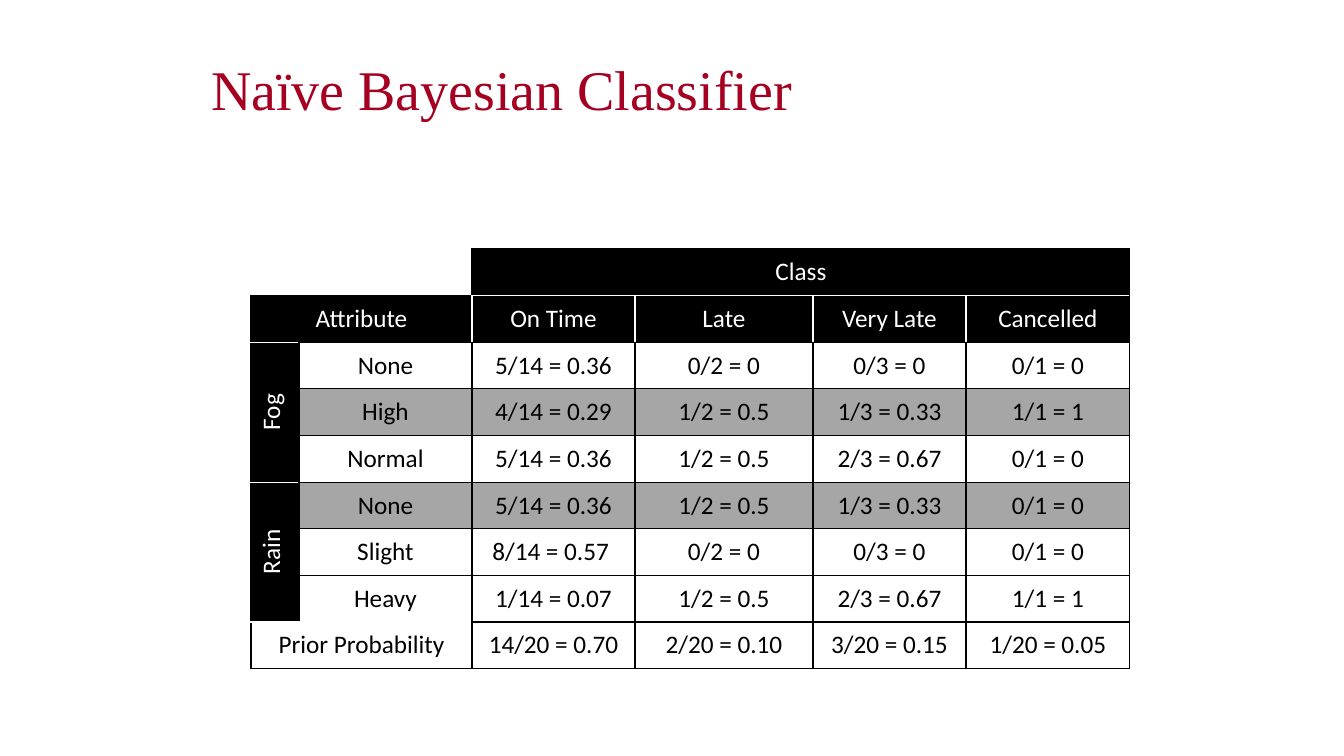
"""Build the Naïve Bayesian Classifier slide with its probability table."""
from pptx import Presentation
from pptx import util as u
from pptx.dml.color import RGBColor
from pptx.enum import text
from pptx.oxml import parse_xml
from pptx.oxml.ns import nsdecls

TITLE = "Naïve Bayesian Classifier"
ROWS = [
    ["", "", "Class", "", "", ""],
    ["Attribute", "", "On Time", "Late", "Very Late", "Cancelled"],
    ["Fog", "None", "5/14 = 0.36", "0/2 = 0", "0/3 = 0", "0/1 = 0"],
    ["", "High", "4/14 = 0.29", "1/2 = 0.5", "1/3 = 0.33", "1/1 = 1"],
    ["", "Normal", "5/14 = 0.36", "1/2 = 0.5", "2/3 = 0.67", "0/1 = 0"],
    ["Rain", "None", "5/14 = 0.36", "1/2 = 0.5", "1/3 = 0.33", "0/1 = 0"],
    ["", "Slight", "8/14 = 0.57 ", "0/2 = 0", "0/3 = 0", "0/1 = 0"],
    ["", "Heavy", "1/14 = 0.07", "1/2 = 0.5", "2/3 = 0.67", "1/1 = 1"],
    ["Prior Probability", "", "14/20 = 0.70", "2/20 = 0.10",
     "3/20 = 0.15", "1/20 = 0.05"],
]
SPANS = {(0, 0): (1, 2), (0, 2): (1, 4), (1, 0): (1, 2),
         (2, 0): (3, 1), (5, 0): (3, 1), (8, 0): (1, 2)}
CORNER, PRIOR = (0, 0), (8, 0)
SIDES = {"lnL": (0, -1), "lnR": (0, 1), "lnT": (-1, 0), "lnB": (1, 0)}
GREY_ROWS = (3, 5)
COLS = [48, 173, 163, 178, 153, 164]
LEFT, TOP, TALL = 251, 249, 420
COLOR = {"title": "A50021", "dark": "000000", "light": "FFFFFF", "band": "A6A6A6"}
PX = 914400 / 100.8


def px(n):
    return u.Emu(round(n * PX))


def write(par, words, font, size, color):
    run = par.add_run()
    run.text = words
    run.font.name = font
    run.font.size = u.Pt(size)
    run.font.color.rgb = RGBColor.from_string(COLOR[color])


def owner(r, c):
    for (top, left), (high, wide) in SPANS.items():
        if top <= r < top + high and left <= c < left + wide:
            return top, left
    return r, c


def shade(r, c):
    home = owner(r, c)
    if home == CORNER:
        return None
    if r < 2 or (c == 0 and home != PRIOR):
        return "dark"
    return "band" if r in GREY_ROWS else "light"


def edge(r, c, down, right):
    near = r + down, c + right
    inside = 0 <= near[0] < len(ROWS) and 0 <= near[1] < len(COLS)
    home = owner(r, c)
    if not inside:
        return None if home == CORNER else "dark"
    other = owner(*near)
    if home == other:
        return None
    if shade(r, c) == shade(*near) == "dark" or (down and PRIOR in (home, other)):
        return "light"
    return "dark"


def border(props, side, color):
    fill = f'<a:solidFill><a:srgbClr val="{COLOR[color]}"/></a:solidFill>' if color else "<a:noFill/>"
    props.append(parse_xml(f'<a:{side} {nsdecls("a")} w="12700">{fill}</a:{side}>'))


def add_title(slide):
    box = slide.shapes.title
    box.left, box.top, box.width, box.height = map(px, (201, 29, 928, 126))
    frame = box.text_frame
    frame.vertical_anchor = text.MSO_ANCHOR.MIDDLE
    par = frame.paragraphs[0]
    par.alignment = text.PP_ALIGN.LEFT
    par.line_spacing = 0.9
    write(par, TITLE, "Times New Roman", 40, "title")


def add_grid(slide):
    grid = slide.shapes.add_table(len(ROWS), len(COLS), px(LEFT), px(TOP),
                                  px(sum(COLS)), px(TALL)).table
    grid.first_row = grid.horz_banding = False
    for col, wide in zip(grid.columns, COLS):
        col.width = px(wide)
    for row in grid.rows:
        row.height = px(TALL / len(ROWS))
    for (r, c), (high, wide) in SPANS.items():
        grid.cell(r, c).merge(grid.cell(r + high - 1, c + wide - 1))
    for r, row in enumerate(ROWS):
        for c, words in enumerate(row):
            fill_cell(grid.cell(r, c), r, c, words)


def fill_cell(cell, r, c, words):
    tone = shade(r, c)
    cell.vertical_anchor = text.MSO_ANCHOR.MIDDLE
    props = cell._tc.get_or_add_tcPr()
    for side, step in SIDES.items():
        border(props, side, edge(r, c, *step))
    if tone:
        cell.fill.solid()
        cell.fill.fore_color.rgb = RGBColor.from_string(COLOR[tone])
    else:
        cell.fill.background()
    if SPANS.get((r, c)) == (3, 1):
        props.set("vert", "vert270")
    if words:
        par = cell.text_frame.paragraphs[0]
        par.alignment = text.PP_ALIGN.CENTER
        write(par, words, "Calibri", 18, "light" if tone == "dark" else "dark")


def main():
    deck = Presentation()
    deck.slide_width, deck.slide_height = px(1344), px(756)
    slide = deck.slides.add_slide(deck.slide_layouts[5])
    add_title(slide)
    add_grid(slide)
    deck.save("out.pptx")


if __name__ == "__main__":
    main()
